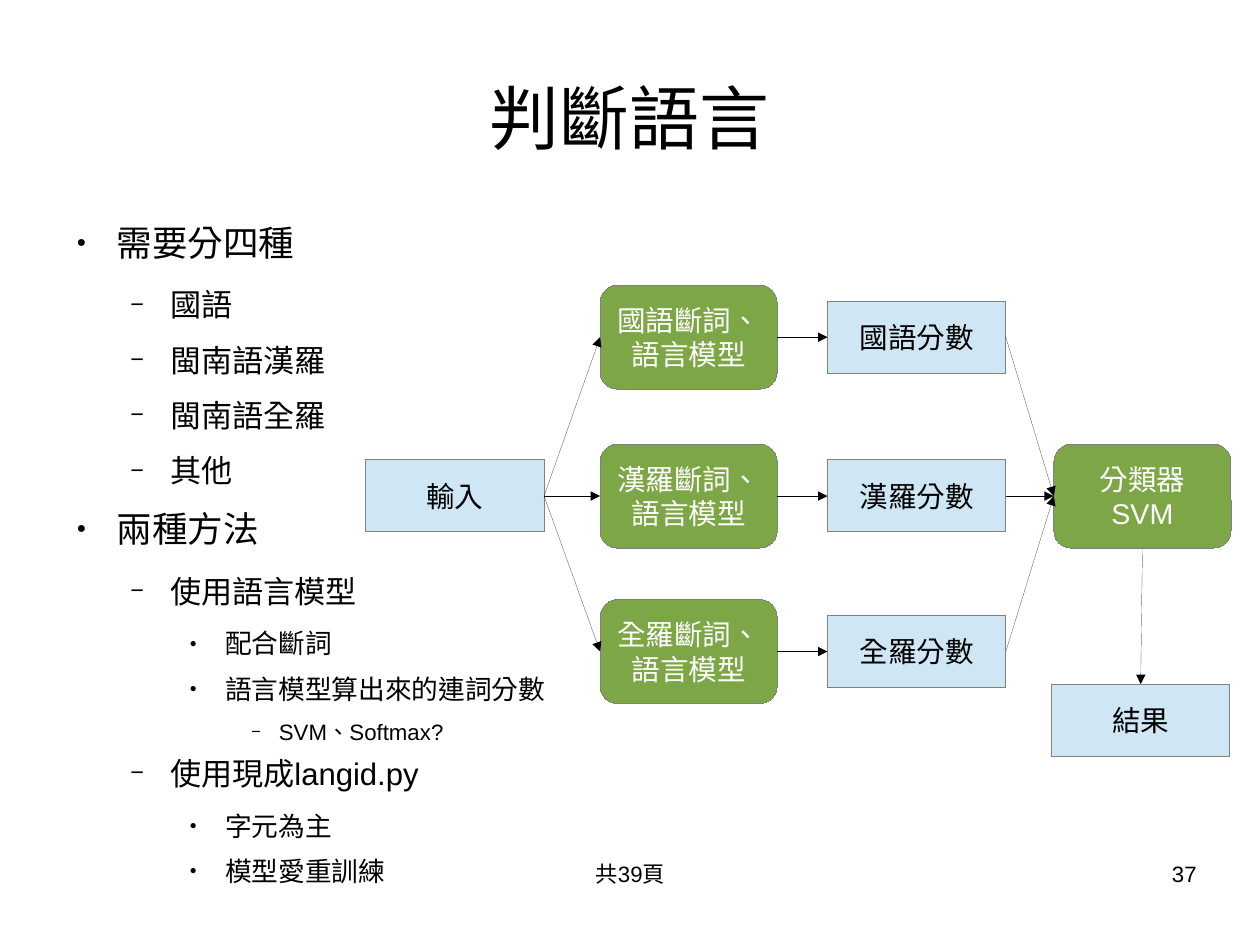
"""Build the slide on deciding the language of an input."""
from lxml import etree
from pptx import Presentation
from pptx.dml import color
from pptx.enum import shapes, text
from pptx.oxml import ns
from pptx.util import Inches, Pt

BLACK, WHITE, GREY, BLUE, GREEN = "000000", "FFFFFF", "808080", "CFE7F5", "7DA647"
TOP, LEFT, BOTTOM, RIGHT = range(4)
BOX_SHAPE = shapes.MSO_SHAPE.FLOWCHART_PROCESS
ROUND_SHAPE = shapes.MSO_SHAPE.FLOWCHART_ALTERNATE_PROCESS
CENTER = text.PP_ALIGN.CENTER
CM_PER_INCH = 2.54

# Per level: text size, left margin, hanging indent, space after, bullet, bullet size
LEVELS = [
    (22.4, 0.47, 0.35, 14.2, "●", 45),
    (19.6, 0.94, 0.35, 11.3, "−", 75),
    (16.8, 1.42, 0.31, 8.5, "●", 45),
    (14, 1.89, 0.24, 5.7, "−", 75),
]
OUTLINE = [
    (0, "需要分四種"),
    (1, "國語"),
    (1, "閩南語漢羅"),
    (1, "閩南語全羅"),
    (1, "其他"),
    (0, "兩種方法"),
    (1, "使用語言模型"),
    (2, "配合斷詞"),
    (2, "語言模型算出來的連詞分數"),
    (3, "SVM、Softmax?"),
    (1, "使用現成langid.py"),
    (2, "字元為主"),
    (2, "模型愛重訓練"),
]
BRANCHES = [("國語", 2.95), ("漢羅", 4.34), ("全羅", 5.7)]
MIDDLE = 4.34


def rgb(value):
    """Return the colour for a hex string."""
    return color.RGBColor.from_string(value)


def add_span(para, words, size, ink=BLACK):
    """Add one run of Arial text in Traditional Chinese to a paragraph."""
    span = para.add_run()
    span.text = words
    span.font.name = "Arial"
    span.font.size = Pt(size)
    span.font.color.rgb = rgb(ink)
    span._r.get_or_add_rPr().set("lang", "zh-TW")


def add_lines(frame, lines, size, ink=BLACK, align=CENTER):
    """Fill a text frame with one paragraph for each line."""
    for index, words in enumerate(lines):
        para = frame.add_paragraph() if index else frame.paragraphs[0]
        para.alignment = align
        add_span(para, words, size, ink)


def add_textbox(page, left, top, width, height, anchor=text.MSO_ANCHOR.TOP):
    """Add a wrapping text box without margins and return its frame."""
    box = page.shapes.add_textbox(Inches(left), Inches(top), Inches(width), Inches(height))
    frame = box.text_frame
    frame.word_wrap = True
    frame.vertical_anchor = anchor
    frame.margin_left = frame.margin_right = frame.margin_top = frame.margin_bottom = 0
    return frame


def add_bullet(para, level, words):
    """Write one bulleted line at its outline level."""
    size, margin, hang, after, mark, percent = LEVELS[level]
    para.level = level
    para.space_after = Pt(after)
    add_span(para, words, size)
    props = para._p.get_or_add_pPr()
    props.set("marL", str(Inches(margin)))
    props.set("indent", str(-Inches(hang)))
    ink = etree.SubElement(props, ns.qn("a:buClr"))
    etree.SubElement(ink, ns.qn("a:srgbClr"), val=BLACK)
    etree.SubElement(props, ns.qn("a:buSzPct"), val=str(percent * 1000))
    etree.SubElement(props, ns.qn("a:buFont"), typeface="Arial")
    etree.SubElement(props, ns.qn("a:buChar"), char=mark)


def set_hairline(line, ink):
    """Give a line its colour and an explicit zero width, and return its element."""
    line.color.rgb = rgb(ink)
    element = line._get_or_add_ln()
    element.set("w", "0")
    return element


def add_node(page, kind, left, middle, width, height, fill, ink, lines):
    """Add a flowchart node centred on a height and return it."""
    node = page.shapes.add_shape(
        kind, Inches(left), Inches(middle - height / 2), Inches(width), Inches(height))
    node.shadow.inherit = False
    node.fill.solid()
    node.fill.fore_color.rgb = rgb(fill)
    set_hairline(node.line, GREY)
    frame = node.text_frame
    frame.word_wrap = False
    frame.vertical_anchor = text.MSO_ANCHOR.MIDDLE
    add_lines(frame, lines, 18, ink)
    return node


def add_data(page, left, middle, words):
    """Add a blue box for data."""
    return add_node(page, BOX_SHAPE, left, middle, 1.56, 0.63, BLUE, BLACK, [words])


def add_step(page, left, middle, lines):
    """Add a green rounded box for a processing step."""
    return add_node(page, ROUND_SHAPE, left, middle, 1.55, 0.91, GREEN, WHITE, lines)


def add_arrow(page, source, target, start=RIGHT, end=LEFT):
    """Join two nodes with a thin arrow."""
    arrow = page.shapes.add_connector(shapes.MSO_CONNECTOR.STRAIGHT, 0, 0, 0, 0)
    arrow.begin_connect(source, start)
    arrow.end_connect(target, end)
    stroke = set_hairline(arrow.line, BLACK)
    etree.SubElement(stroke, ns.qn("a:tailEnd"), type="triangle")
    etree.SubElement(arrow._element.spPr, ns.qn("a:effectLst"))


def add_outline(page):
    """Add the bulleted outline."""
    frame = add_textbox(page, 0.55, 1.93, 9.7, 5.39)
    for index, (level, words) in enumerate(OUTLINE):
        para = frame.add_paragraph() if index else frame.paragraphs[0]
        add_bullet(para, level, words)


def add_flowchart(page):
    """Add the flow from input through three models to the result."""
    source = add_data(page, 3.2, MIDDLE, "輸入")
    classifier = add_step(page, 9.22, MIDDLE, ["分類器", "SVM"])
    result = add_data(page, 9.2, 6.3, "結果")
    for language, middle in BRANCHES:
        model = add_step(page, 5.25, middle, [language + "斷詞、", "語言模型"])
        score = add_data(page, 7.24, middle, language + "分數")
        add_arrow(page, source, model)
        add_arrow(page, model, score)
        add_arrow(page, score, classifier)
    add_arrow(page, classifier, result, BOTTOM, TOP)


def main():
    """Build and save the deck."""
    deck = Presentation()
    deck.slide_width = Inches(28 / CM_PER_INCH)
    deck.slide_height = Inches(21 / CM_PER_INCH)
    page = deck.slides.add_slide(deck.slide_layouts[6])
    title = add_textbox(page, 0.55, 0.33, 9.92, 1.38, text.MSO_ANCHOR.MIDDLE)
    add_lines(title, ["判斷語言"], 44)
    add_outline(page)
    add_flowchart(page)
    add_lines(add_textbox(page, 3.77, 7.53, 3.49, 0.57), ["共39頁"], 14)
    number = add_textbox(page, 7.9, 7.53, 2.57, 0.57)
    add_lines(number, ["37"], 14, align=text.PP_ALIGN.RIGHT)
    deck.save("out.pptx")


if __name__ == "__main__":
    main()
